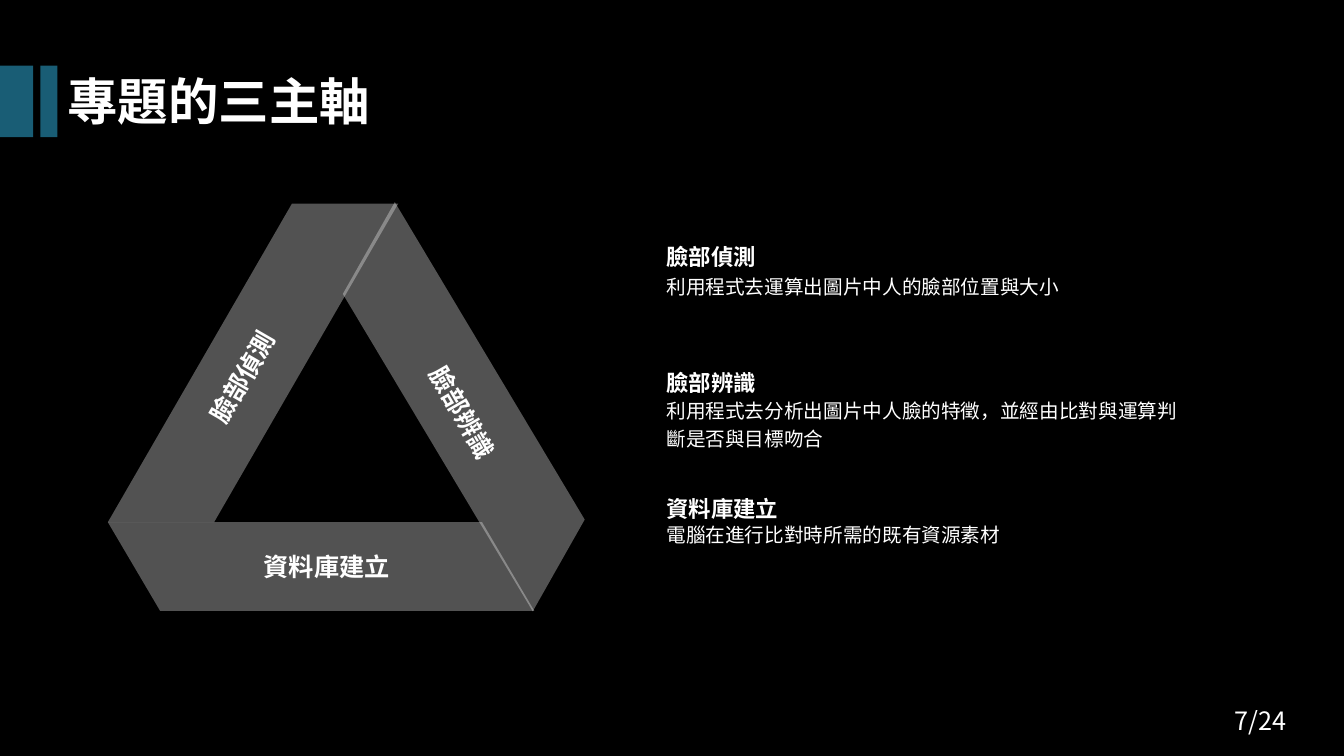
from dataclasses import dataclass

from lxml import etree
from pptx import Presentation
from pptx.dml.color import RGBColor
from pptx.enum.shapes import MSO_SHAPE
from pptx.enum.text import MSO_AUTO_SIZE, PP_ALIGN
from pptx.oxml.ns import qn
from pptx.util import Inches, Pt

RECT, BAND = MSO_SHAPE.RECTANGLE, MSO_SHAPE.PARALLELOGRAM
LEFT, CENTER = PP_ALIGN.LEFT, PP_ALIGN.CENTER
GROW = MSO_AUTO_SIZE.SHAPE_TO_FIT_TEXT


@dataclass(frozen=True)
class Theme:
    background: RGBColor = RGBColor(0x00, 0x00, 0x00)
    text: RGBColor = RGBColor(0xFF, 0xFF, 0xFF)
    band: RGBColor = RGBColor(0xFF, 0xFF, 0xFF)
    accent: RGBColor = RGBColor(0x37, 0xCB, 0xFF)
    band_alpha: int = 32
    accent_alpha: int = 46
    latin: str = "Arial"
    cjk: str = "Noto Sans CJK SC"
    title: int = 36
    label: int = 18
    heading: int = 16
    body: int = 14


THEME = Theme()

# box within the triangle, rotation, adjustment, mirrored, label, label box
BANDS = [
    ((2.10, 0.42, 2.86, 3.19), 299.5, 0.634, False,
     "臉部辨識", (2.82, 1.92, 1.4, 0.3), 60),
    ((0, 0, 2.88, 3.16), 0, 0.634, False,
     "臉部偵測", (0.78, 1.57, 1.11, 0.3), 300),
    ((0, 3.16, 4.23, 0.88), 0, 0.589, True,
     "資料庫建立", (1.47, 3.45, 1.4, 0.3), 0),
]

# heading, distance from heading to body, body, body height
AXES = [
    ("臉部偵測", 0.27, "利用程式去運算出圖片中人的臉部位置與大小", 0.28),
    ("臉部辨識", 0.25,
     "利用程式去分析出圖片中人臉的特徵，並經由比對與運算判斷是否與目標吻合", 0.54),
    ("資料庫建立", 0.23, "電腦在進行比對時所需的既有資源素材", 0.26),
]


def add_text(s, text, box, size, font=THEME.latin, bold=False, align=LEFT,
             spacing=None, rotation=0, inset=0.0, inset_y=0.0):
    shape = s.shapes.add_textbox(*map(Inches, box))
    shape.rotation = rotation
    tf = shape.text_frame
    tf.word_wrap = True
    tf.auto_size = GROW
    tf.margin_left = tf.margin_right = Inches(inset)
    tf.margin_top = tf.margin_bottom = Inches(inset_y)
    p = tf.paragraphs[0]
    p.alignment = align
    if spacing:
        p.line_spacing = spacing
    r = p.add_run()
    r.text = text
    r.font.size, r.font.bold, r.font.name = Pt(size), bold, font
    r.font.color.rgb = THEME.text
    east_asian = etree.SubElement(r.font._element, qn("a:ea"))
    east_asian.set("typeface", THEME.cjk)


def add_tinted(s, kind, box, color, alpha):
    """Add a borderless preset shape with alpha percent opacity."""
    shape = s.shapes.add_shape(kind, *map(Inches, box))
    shape.shadow.inherit = False
    shape.line.fill.background()
    shape.fill.solid()
    shape.fill.fore_color.rgb = color
    srgb = shape.element.spPr.find(qn("a:solidFill")).find(qn("a:srgbClr"))
    etree.SubElement(srgb, qn("a:alpha")).set("val", str(alpha * 1000))
    return shape


def add_triangle(s, left, top):
    def place(box):
        x, y, width, height = box
        return left + x, top + y, width, height

    for box, turn, adjustment, mirrored, label, label_box, label_turn in BANDS:
        band = add_tinted(s, BAND, place(box), THEME.band, THEME.band_alpha)
        band.adjustments[0] = adjustment
        band.rotation = turn
        if mirrored:
            band.element.spPr.find(qn("a:xfrm")).set("flipH", "1")
        add_text(s, label, place(label_box), THEME.label, bold=True,
                 align=CENTER, rotation=label_turn)


def add_descriptions(s, left, top, width, pitch):
    for i, (heading, gap, body, height) in enumerate(AXES):
        y = top + i * pitch
        add_text(s, body, (left, y + gap, width, height), THEME.body,
                 spacing=1.2)
        add_text(s, heading, (left, y, 1.38, 0.27), THEME.heading, bold=True)


def add_title(s, text, left, top, height):
    for x, width in ((0, 0.33), (0.4, 0.17)):
        add_tinted(s, RECT, (left + x, top, width, height),
                   THEME.accent, THEME.accent_alpha)
    add_text(s, text, (left + 0.57, top, 3.38, height), THEME.title,
             font=THEME.cjk, bold=True, inset=0.1, inset_y=0.05)


def add_page_number(s, text, left, top):
    add_text(s, text, (left, top, 1.1, 0.4), THEME.label, font=THEME.cjk,
             inset=0.1, inset_y=0.05)


def main():
    prs = Presentation()
    prs.slide_width, prs.slide_height = Inches(13.33), Inches(7.5)
    s = prs.slides.add_slide(prs.slide_layouts[6])
    s.background.fill.solid()
    s.background.fill.fore_color.rgb = THEME.background
    add_triangle(s, 1.07, 2.02)
    add_descriptions(s, 6.61, 2.41, 5.23, 1.25)
    add_title(s, "專題的三主軸", 0, 0.65, 0.71)
    add_page_number(s, "7/24", 12.15, 6.95)
    prs.save("out.pptx")


if __name__ == "__main__":
    main()
